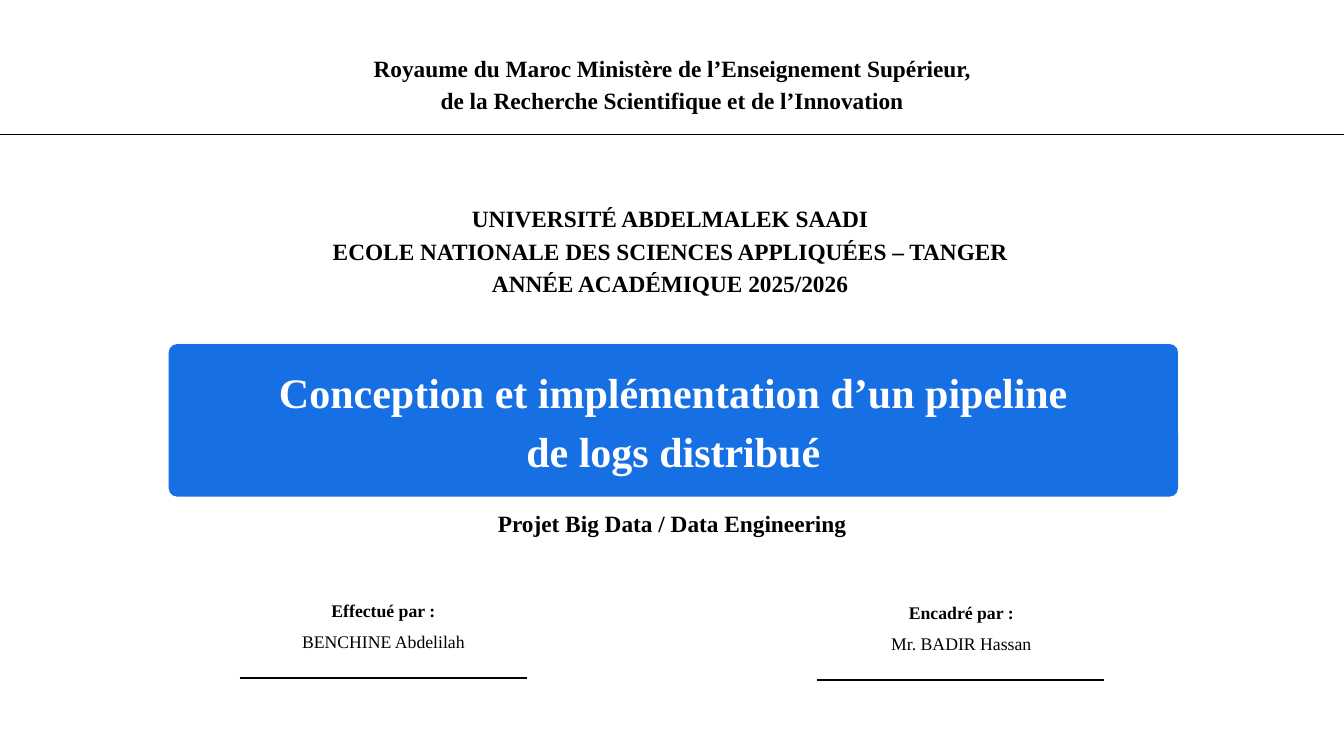
import pptx
import pptx.dml.color
import pptx.enum.shapes
import pptx.enum.text
import pptx.oxml.ns
import pptx.util
from lxml import etree

COLUMNS, ROWS = 20, 11.25
COLUMN = ROW = pptx.util.Inches(1)
FONT = "Times New Roman"
BLACK, WHITE, BLUE = "000000", "FFFFFF", "166FE3"


def colour(value):
    """Turn a hex string into a colour."""
    return pptx.dml.color.RGBColor.from_string(value)


def grid(*cells):
    """Turn alternating columns and rows into lengths."""
    return [round(cell * unit) for cell, unit in zip(cells, (COLUMN, ROW) * 2)]


def write(shape, lines, size, text_colour=BLACK, bold=True):
    """Fill a shape with centred lines spaced at 1.4 times their size."""
    frame = shape.text_frame
    frame.word_wrap = True
    frame.auto_size = pptx.enum.text.MSO_AUTO_SIZE.NONE
    frame.vertical_anchor = pptx.enum.text.MSO_ANCHOR.TOP
    frame.margin_left = frame.margin_right = frame.margin_top = frame.margin_bottom = 0
    frame.text = "\n".join(lines)
    for paragraph in frame.paragraphs:
        paragraph.alignment = pptx.enum.text.PP_ALIGN.CENTER
        paragraph.line_spacing = pptx.util.Pt(size * 1.4)
        paragraph.space_before = pptx.util.Pt(0)
        font = paragraph.font
        font.name, font.size, font.bold = FONT, pptx.util.Pt(size), bold
        font.color.rgb = colour(text_colour)


def add_text(slide, box, lines, size=25, bold=True):
    """Add a text box at a grid box."""
    write(slide.shapes.add_textbox(*grid(*box)), lines, size, bold=bold)


def add_rule(slide, left, right, top, width):
    """Draw a horizontal black rule."""
    rule = slide.shapes.add_connector(
        pptx.enum.shapes.MSO_CONNECTOR.STRAIGHT, *grid(left, top, right, top))
    rule.line.color.rgb = colour(BLACK)
    rule.line.width = pptx.util.Pt(width)
    etree.SubElement(rule._element.spPr, pptx.oxml.ns.qn("a:effectLst"))


def add_header(slide, left, top, width, height):
    """Place the ministry name above a rule across the slide."""
    add_rule(slide, -0.8, COLUMNS, 2, 1.5)
    add_text(slide, (left, top, width, height), [
        "Royaume du Maroc Ministère de l’Enseignement Supérieur, "
        "de la Recherche Scientifique et de l’Innovation"])


def add_banner(slide, left, top, width, height):
    """Place the title placeholder on a rounded blue banner."""
    banner = slide.shapes.add_shape(
        pptx.enum.shapes.MSO_SHAPE.ROUNDED_RECTANGLE, *grid(left, top, width, height))
    banner.adjustments[0] = 0.055
    banner.shadow.inherit = False
    banner.fill.solid()
    banner.fill.fore_color.rgb = colour(BLUE)
    banner.line.fill.background()
    title = slide.shapes.title
    title.left, title.top, title.width, title.height = grid(left, top + 0.21, width, 1.74)
    write(title, ["Conception et implémentation d’un pipeline", "de logs distribué"], 45, WHITE)
    banner._element.addnext(title._element)


def add_credit(slide, left, top, width, role, person, offset):
    """Place a role and a name, offset from the left end of the rule below."""
    add_text(slide, (left + offset, top, width, 0.37), [role], 19)
    add_text(slide, (left + offset, top + 0.465, width, 0.37), [person], 19, bold=False)
    add_rule(slide, left, left + 4.27, top + 1.215, 2.25)


def main():
    """Build the cover slide and save it."""
    presentation = pptx.Presentation()
    presentation.slide_width, presentation.slide_height = grid(COLUMNS, ROWS)
    slide = presentation.slides.add_slide(presentation.slide_layouts[5])
    slide.background.fill.solid()
    slide.background.fill.fore_color.rgb = colour(WHITE)
    add_header(slide, 5.49, 0.73, 9.02, 0.95)
    add_text(slide, (1.5, 2.97, 16.94, 1.43), [
        "UNIVERSITÉ ABDELMALEK SAADI",
        "ECOLE NATIONALE DES SCIENCES APPLIQUÉES – TANGER",
        "ANNÉE ACADÉMIQUE 2025/2026"])
    add_banner(slide, 2.51, 5.12, 15.02, 2.27)
    add_text(slide, (1.53, 7.51, 16.94, 0.47), ["Projet Big Data / Data Engineering"])
    add_credit(slide, 3.57, 8.87, 2.95, "Effectué par :", "BENCHINE Abdelilah", 0.66)
    add_credit(slide, 12.16, 8.9, 4.05, "Encadré par :", "Mr. BADIR Hassan", 0.12)
    presentation.save("out.pptx")


if __name__ == "__main__":
    main()
